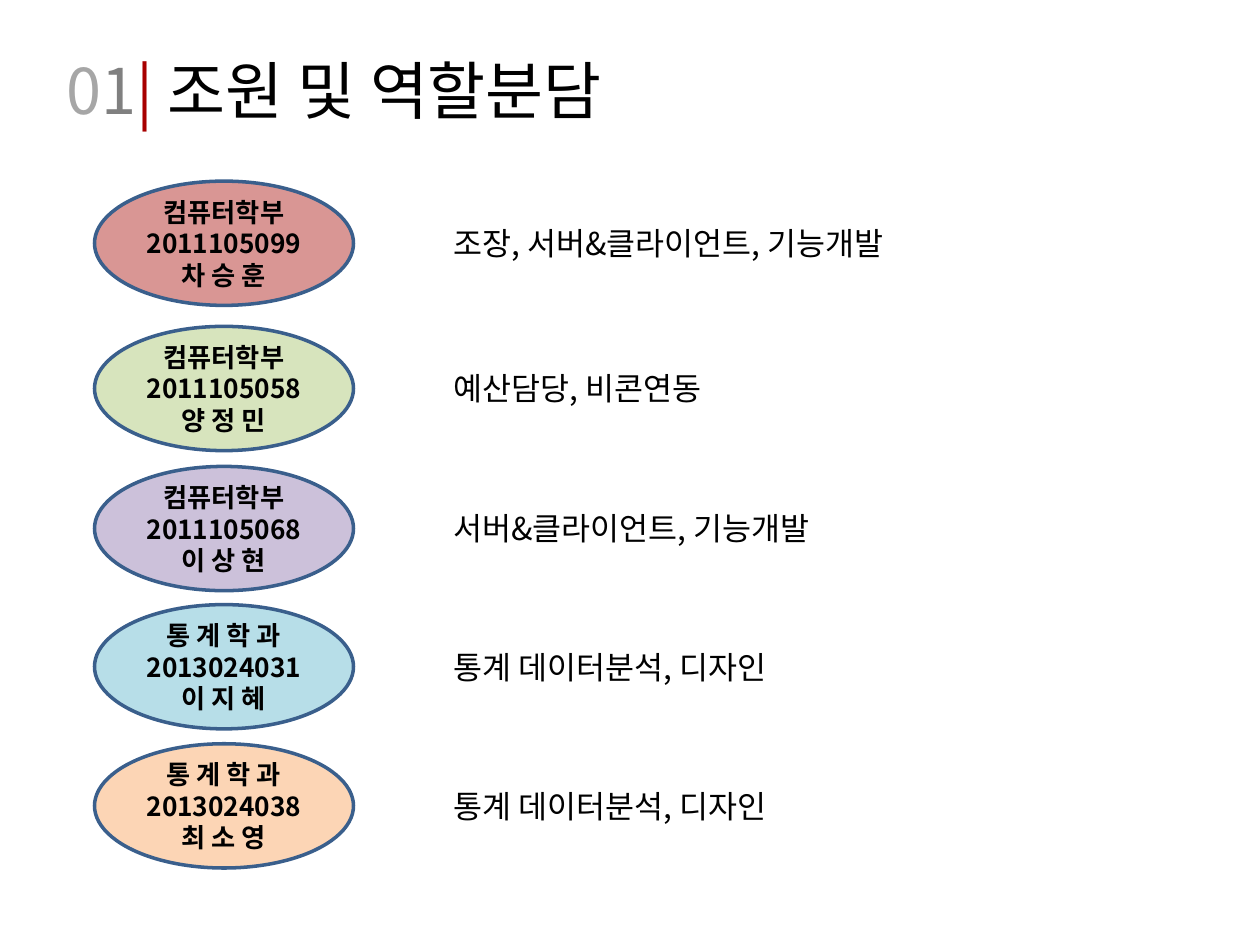
from pptx import Presentation
from pptx import util as u
from pptx.dml.color import RGBColor
from pptx.enum import shapes, text
from lxml import etree

Pt = u.Pt
theme = {
    "font": "Noto Sans CJK KR",
    "ink": "000000", "edge": "3A5F8C",
    "zero": "A6A6A6", "one": "808080", "bar": "A80000",
    "title": 36, "role": 18, "name": 15,
}
NS = "http://schemas.openxmlformats.org/drawingml/2006/main"


def style(run, size, color, bold=False):
    font = run.font
    font.name = theme["font"]
    font.size = Pt(theme[size])
    font.bold = bold
    font.color.rgb = RGBColor.from_string(theme[color])
    east = etree.Element("{%s}ea" % NS, typeface=theme["font"])
    run._r.rPr.find("{%s}latin" % NS).addnext(east)


deck = Presentation()
deck.slide_width, deck.slide_height = Pt(720), Pt(540)
slide = deck.slides.add_slide(deck.slide_layouts[5])

title = slide.shapes.title
title.left, title.top, title.width, title.height = Pt(31), Pt(26), Pt(370), Pt(51)
frame = title.text_frame
frame.word_wrap = False
frame.auto_size = text.MSO_AUTO_SIZE.NONE
frame.vertical_anchor = text.MSO_ANCHOR.TOP
head = frame.paragraphs[0]
head.alignment = text.PP_ALIGN.LEFT
for part, color in [("0", "zero"), ("1", "one"), ("| ", "bar"), ("조원 및 역할분담", "ink")]:
    run = head.add_run()
    run.text = part
    style(run, "title", color)

team = [
    (103.5, "D99694", "컴퓨터학부", "2011105099", "차 승 훈", "조장, 서버&클라이언트, 기능개발"),
    (186.5, "D7E4BD", "컴퓨터학부", "2011105058", "양 정 민", "예산담당, 비콘연동"),
    (266.5, "CCC1DA", "컴퓨터학부", "2011105068", "이 상 현", "서버&클라이언트, 기능개발"),
    (345.5, "B7DEE8", "통 계 학 과", "2013024031", "이 지 혜", "통계 데이터분석, 디자인"),
    (425, "FCD5B5", "통 계 학 과", "2013024038", "최 소 영", "통계 데이터분석, 디자인"),
]
for top, fill, major, number, name, role in team:
    oval = slide.shapes.add_shape(
        shapes.MSO_SHAPE.OVAL, Pt(54), Pt(top), Pt(148), Pt(71))
    oval.shadow.inherit = False
    oval.fill.solid()
    oval.fill.fore_color.rgb = RGBColor.from_string(fill)
    oval.line.color.rgb = RGBColor.from_string(theme["edge"])
    oval.line.width = Pt(2)
    frame = oval.text_frame
    frame.margin_left = frame.margin_right = Pt(0)
    frame.vertical_anchor = text.MSO_ANCHOR.MIDDLE
    frame.text = "\n".join([major, number, name])
    for line in frame.paragraphs:
        line.alignment = text.PP_ALIGN.CENTER
        style(line.runs[0], "name", "ink", True)

    label = slide.shapes.add_textbox(Pt(252), Pt(top + 21), Pt(303), Pt(29))
    label.text_frame.word_wrap = True
    label.text_frame.text = role
    style(label.text_frame.paragraphs[0].runs[0], "role", "ink")

deck.save("out.pptx")
